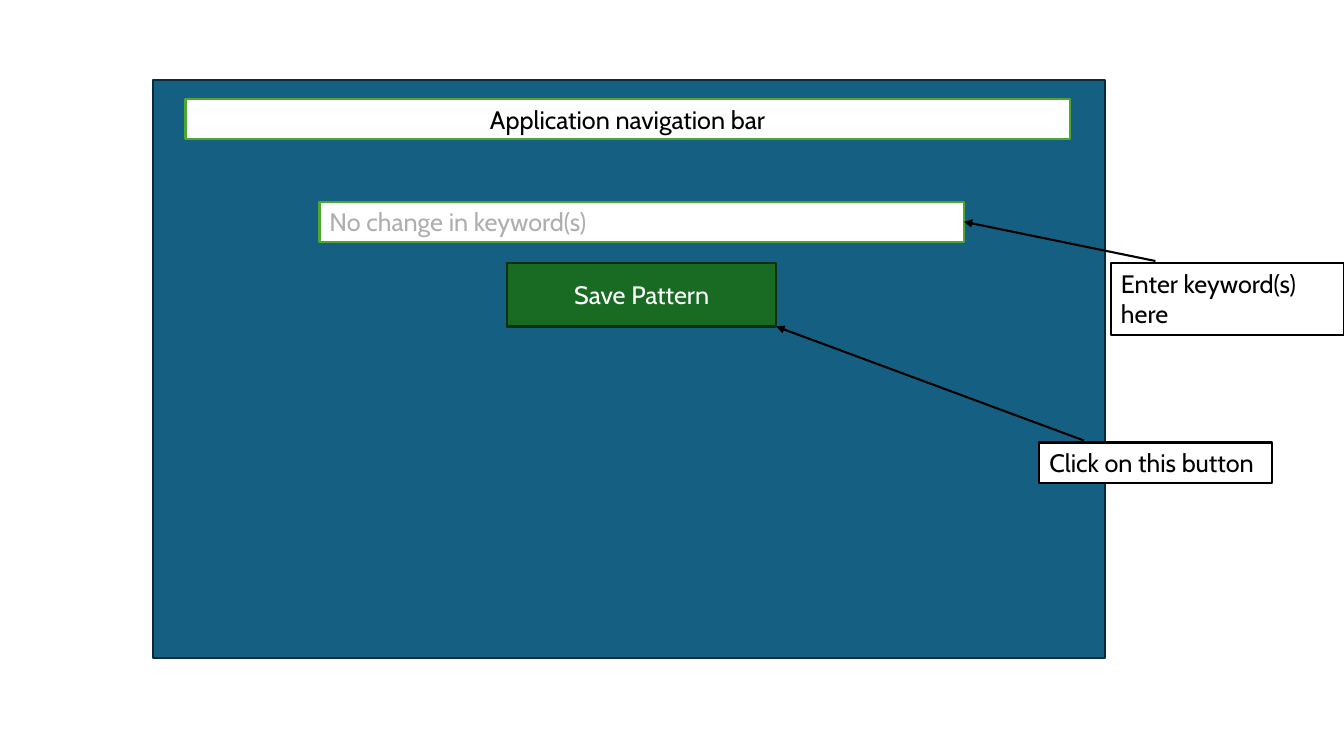
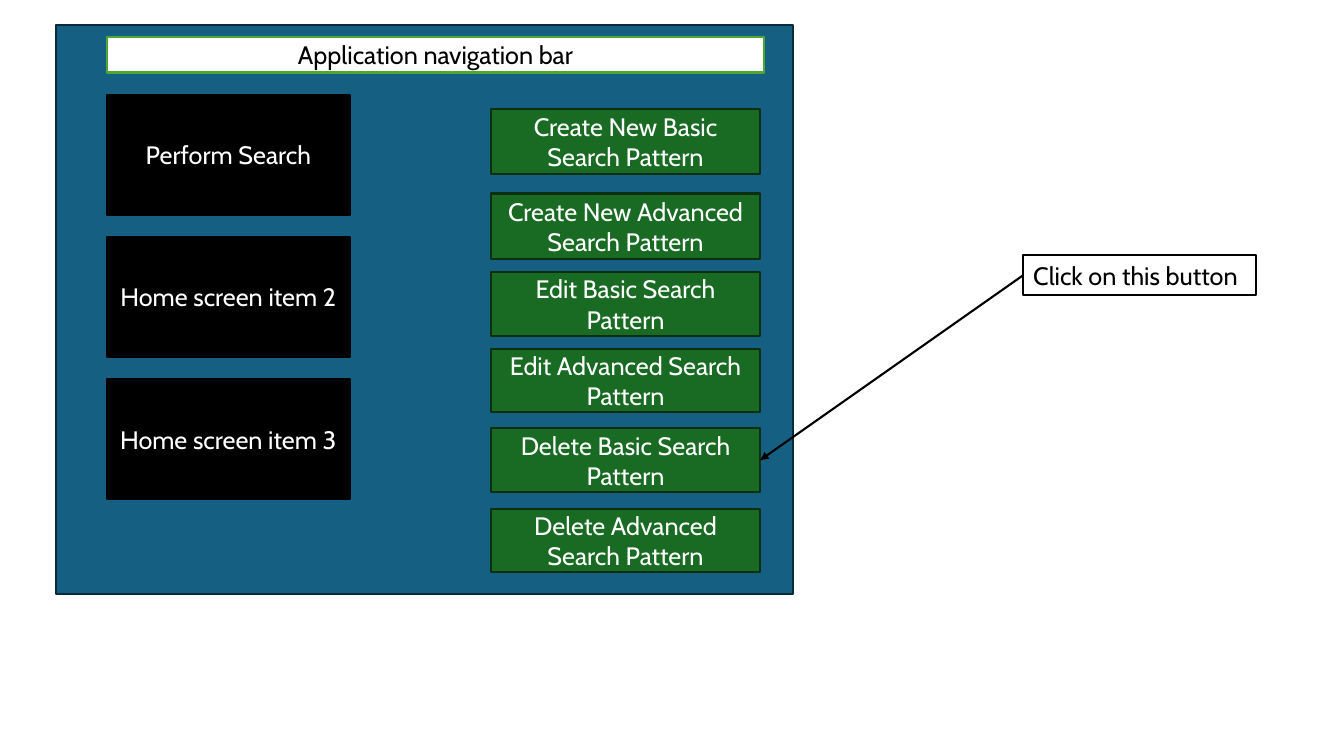
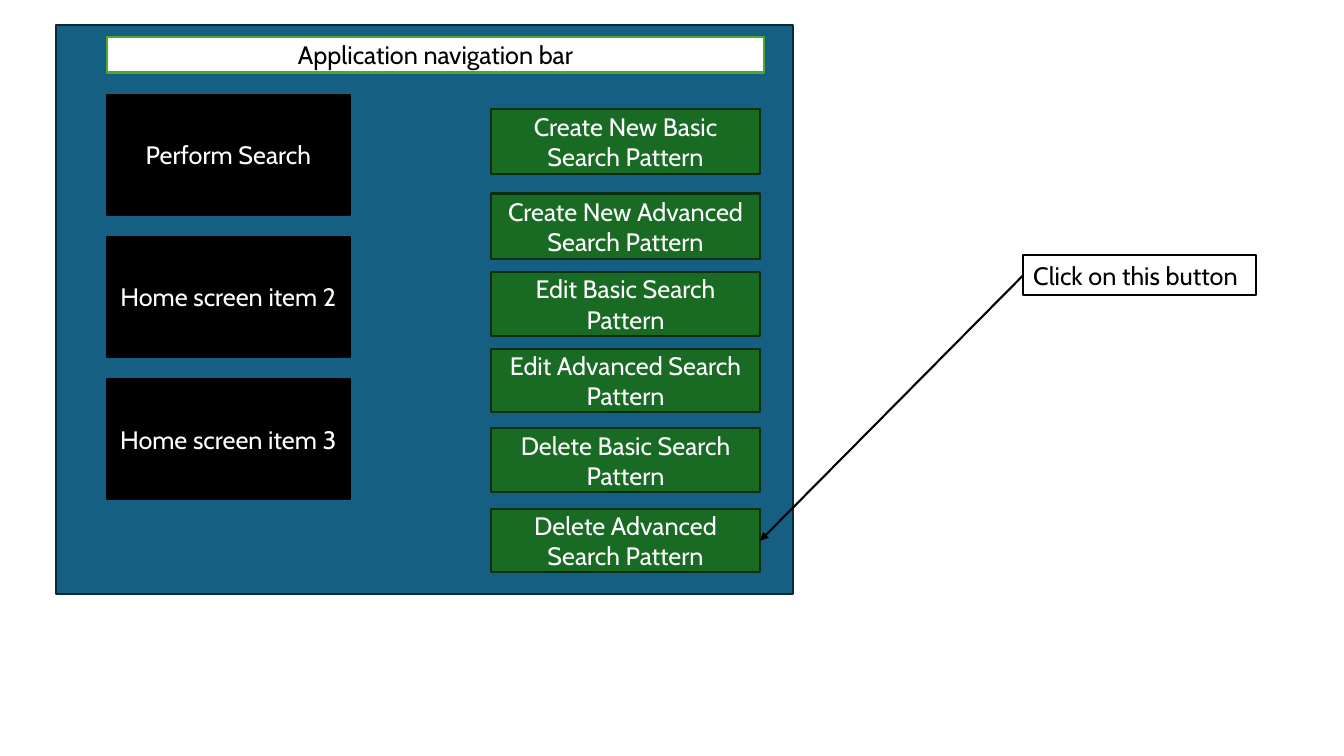
from dataclasses import dataclass

import pptx
import pptx.util
from pptx.dml.color import RGBColor
from pptx.enum.shapes import MSO_CONNECTOR, MSO_SHAPE
from pptx.enum.text import MSO_ANCHOR, PP_ALIGN
from pptx.oxml.ns import qn
from pptx.shapes.shapetree import GroupShapes, SlideShapes
from pptx.slide import Slide
from lxml import etree

SLIDE_WIDTH = pptx.util.Inches(13.33)
SLIDE_HEIGHT = pptx.util.Inches(7.5)
FONT = "Cabin"
TEXT_SIZE = pptx.util.Pt(18)
LINE_WIDTH = pptx.util.Pt(1.5)

WHITE = RGBColor(0xFF, 0xFF, 0xFF)
BLACK = RGBColor(0x00, 0x00, 0x00)
GREY = RGBColor(0xAE, 0xAE, 0xAE)
BLUE = RGBColor(0x15, 0x60, 0x82)
NAVY = RGBColor(0x09, 0x2A, 0x39)
GREEN = RGBColor(0x19, 0x6B, 0x24)
DARK_GREEN = RGBColor(0x0B, 0x2F, 0x10)
LIGHT_GREEN = RGBColor(0x4E, 0xA7, 0x2E)


@dataclass(frozen=True)
class Style:
    fill: RGBColor
    line: RGBColor
    text: RGBColor
    align: PP_ALIGN = PP_ALIGN.CENTER
    anchor: MSO_ANCHOR = MSO_ANCHOR.MIDDLE


@dataclass(frozen=True)
class Point:
    """Position in percent of the slide's width and height."""
    x: float
    y: float


@dataclass(frozen=True)
class Box:
    """Rectangle in percent of the slide's width and height."""
    left: float
    top: float
    width: float
    height: float

    @property
    def left_middle(self) -> Point:
        return Point(self.left, self.top + self.height / 2)

    @property
    def right_middle(self) -> Point:
        return Point(self.left + self.width, self.top + self.height / 2)

    @property
    def bottom_right(self) -> Point:
        return Point(self.left + self.width, self.top + self.height)


SCREEN = Style(BLUE, NAVY, WHITE)
NAVIGATION = Style(WHITE, LIGHT_GREEN, BLACK)
KEYWORD_FIELD = Style(WHITE, LIGHT_GREEN, GREY, PP_ALIGN.LEFT)
BUTTON = Style(GREEN, DARK_GREEN, WHITE)
HOME_ITEM = Style(BLACK, BLACK, WHITE)
CALLOUT = Style(WHITE, BLACK, BLACK, PP_ALIGN.LEFT, MSO_ANCHOR.TOP)

NAVIGATION_TEXT = "Application navigation bar"
CLICK_TEXT = "Click on this button"
BUTTON_LEFT, BUTTON_WIDTH, BUTTON_HEIGHT = 36.53, 20.03, 8.4
CREATE_HEIGHT = 8.67
CALLOUT_WIDTH, CALLOUT_HEIGHT = 17.33, 5.33

HOME_ITEMS = ("Perform Search", "Home screen item 2", "Home screen item 3")
HOME_TOP, HOME_PITCH = 12.53, 18.8
PATTERN_BUTTONS = {
    "Create New Basic Search Pattern": Box(BUTTON_LEFT, 14.4, BUTTON_WIDTH, CREATE_HEIGHT),
    "Create New Advanced Search Pattern": Box(BUTTON_LEFT, 25.6, BUTTON_WIDTH, CREATE_HEIGHT),
    "Edit Basic Search Pattern": Box(BUTTON_LEFT, 36, BUTTON_WIDTH, BUTTON_HEIGHT),
    "Edit Advanced Search Pattern": Box(BUTTON_LEFT, 46.13, BUTTON_WIDTH, BUTTON_HEIGHT),
    "Delete Basic Search Pattern": Box(BUTTON_LEFT, 56.67, BUTTON_WIDTH, BUTTON_HEIGHT),
    "Delete Advanced Search Pattern": Box(BUTTON_LEFT, 67.33, BUTTON_WIDTH, BUTTON_HEIGHT),
}


def across(share: float) -> int:
    return round(SLIDE_WIDTH * share / 100)


def down(share: float) -> int:
    return round(SLIDE_HEIGHT * share / 100)


def draw_box(shapes: SlideShapes | GroupShapes, box: Box, style: Style, text: str = "") -> None:
    panel = shapes.add_shape(MSO_SHAPE.RECTANGLE, across(box.left), down(box.top),
                             across(box.width), down(box.height))
    panel.shadow.inherit = False
    panel.fill.solid()
    panel.fill.fore_color.rgb = style.fill
    panel.line.color.rgb = style.line
    panel.line.width = LINE_WIDTH
    if not text:
        return
    frame = panel.text_frame
    frame.text = text
    frame.word_wrap = True
    frame.vertical_anchor = style.anchor
    label = frame.paragraphs[0]
    label.alignment = style.align
    font = label.runs[0].font
    font.name = FONT
    font.size = TEXT_SIZE
    font.color.rgb = style.text


def draw_arrow(slide: Slide, start: Point, end: Point) -> None:
    arrow = slide.shapes.add_connector(MSO_CONNECTOR.STRAIGHT, across(start.x), down(start.y),
                                       across(end.x), down(end.y))
    arrow.line.color.rgb = BLACK
    arrow.line.width = LINE_WIDTH
    etree.SubElement(arrow.line._get_or_add_ln(), qn("a:tailEnd"), type="triangle")
    etree.SubElement(arrow._element.spPr, qn("a:effectLst"))


def draw_keyword_screen(slide: Slide) -> None:
    field = Box(23.78, 26.67, 47.94, 5.33)
    save = Box(37.73, 34.8, BUTTON_WIDTH, BUTTON_HEIGHT)
    draw_box(slide.shapes, Box(11.4, 10.53, 70.82, 76.53), SCREEN)
    draw_box(slide.shapes, Box(13.8, 13.07, 65.79, 5.33), NAVIGATION, NAVIGATION_TEXT)
    draw_box(slide.shapes, field, KEYWORD_FIELD, "No change in keyword(s)")
    draw_box(slide.shapes, save, BUTTON, "Save Pattern")
    draw_arrow(slide, Point(85.97, 34.53), field.right_middle)
    draw_box(slide.shapes, Box(82.67, 34.8, CALLOUT_WIDTH, 9.47), CALLOUT,
             "Enter keyword(s) here")
    draw_arrow(slide, Point(80.65, 58.27), save.bottom_right)
    draw_box(slide.shapes, Box(77.34, 58.53, CALLOUT_WIDTH, CALLOUT_HEIGHT), CALLOUT, CLICK_TEXT)


def draw_home_screen(slide: Slide, target: str) -> None:
    """Draw the home screen with a callout pointing at the target button."""
    callout = Box(76.14, 33.73, CALLOUT_WIDTH, CALLOUT_HEIGHT)
    draw_box(slide.shapes, callout, CALLOUT, CLICK_TEXT)
    screen = slide.shapes.add_group_shape().shapes
    draw_box(screen, Box(4.2, 3.33, 54.84, 75.2), SCREEN)
    for row, item in enumerate(HOME_ITEMS):
        draw_box(screen, Box(7.95, HOME_TOP + row * HOME_PITCH, 18.08, 15.87), HOME_ITEM, item)
    draw_box(screen, Box(7.95, 4.93, 48.91, 4.67), NAVIGATION, NAVIGATION_TEXT)
    for action, box in PATTERN_BUTTONS.items():
        draw_box(screen, box, BUTTON, action)
    draw_arrow(slide, callout.left_middle, PATTERN_BUTTONS[target].right_middle)


def main() -> None:
    deck = pptx.Presentation()
    deck.slide_width = SLIDE_WIDTH
    deck.slide_height = SLIDE_HEIGHT
    blank = deck.slide_layouts[6]
    draw_keyword_screen(deck.slides.add_slide(blank))
    for target in ("Delete Basic Search Pattern", "Delete Advanced Search Pattern"):
        draw_home_screen(deck.slides.add_slide(blank), target)
    deck.save("out.pptx")


if __name__ == "__main__":
    main()
